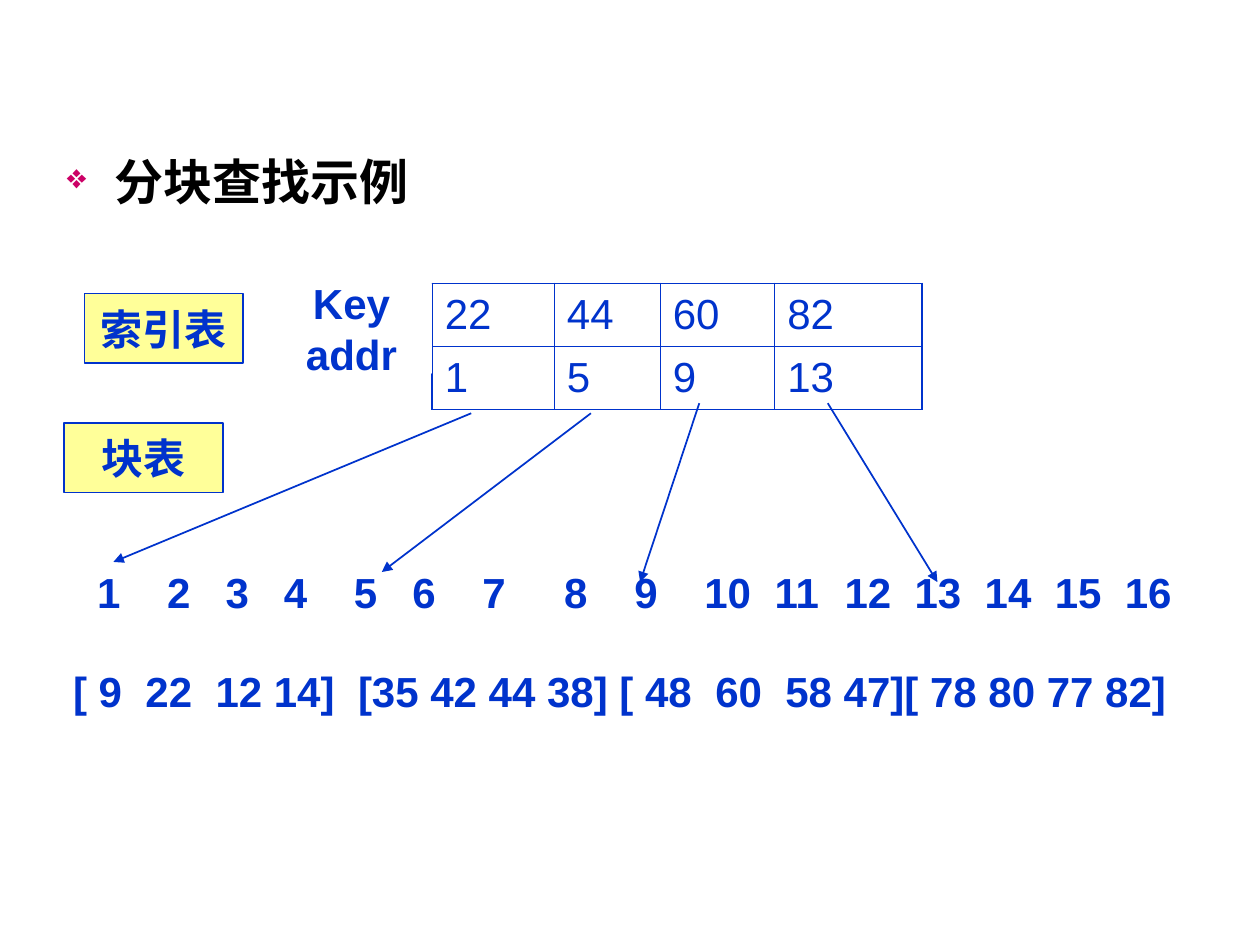
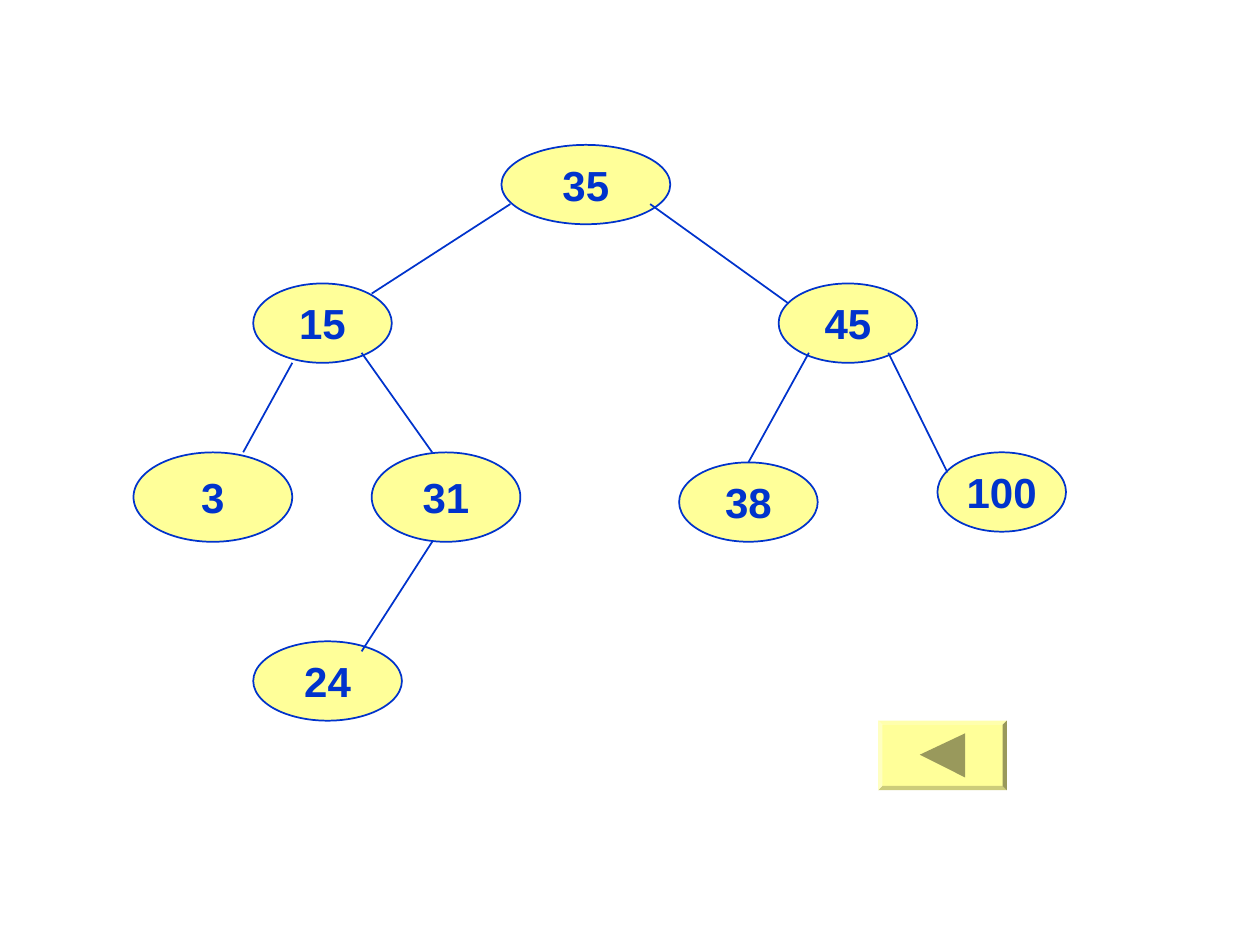
from lxml import etree
from pptx import Presentation
from pptx import util as u
from pptx.dml.color import RGBColor
from pptx.enum import shapes, text
from pptx.oxml import ns

BLUE = RGBColor(0x00, 0x33, 0xCC)
YELLOW = RGBColor(0xFF, 0xFF, 0x99)
OLIVE = RGBColor(0x99, 0x99, 0x5C)
WHITE = RGBColor(0xFF, 0xFF, 0xFF)
BLACK = RGBColor(0, 0, 0)
PINK = RGBColor(0xCC, 0x00, 0x66)
SPACE = 0.0927
WIDTHS = {" ": SPACE, "[": 0.111, "]": 0.111}
KIND = shapes.MSO_SHAPE
ALIGN = text.PP_ALIGN
MID = text.MSO_ANCHOR.MIDDLE


def add(parent, tag, **attrs):
    return etree.SubElement(parent, ns.qn(tag), {k: str(v) for k, v in attrs.items()})


def inch(*sizes):
    return [u.Inches(size) for size in sizes]


class Deck:
    """Holds the shared style and the current slide."""

    def __init__(self):
        self.prs = Presentation()
        self.prs.slide_width, self.prs.slide_height = inch(10, 7.5)

    def slide(self, layout):
        self.page = self.prs.slides.add_slide(self.prs.slide_layouts[layout])
        self.shapes = self.page.shapes

    def group(self):
        self.shapes = self.page.shapes.add_group_shape().shapes

    def font(self, para, size=24, color=BLUE, bold=True):
        font = para.font
        font.name, font.size, font.bold = "Arial", u.Pt(size), bold
        font.color.rgb = color

    def title(self, words, box):
        head = self.page.shapes.title
        head.left, head.top, head.width, head.height = inch(*box)
        head.text_frame.text = words
        head.text_frame.vertical_anchor = text.MSO_ANCHOR.TOP
        para = head.text_frame.paragraphs[0]
        para.alignment = ALIGN.LEFT
        props = para._p.get_or_add_pPr()
        props.set("marL", str(u.Inches(0.38)))
        props.set("indent", str(u.Inches(-0.38)))
        add(add(props, "a:buClr"), "a:srgbClr", val=PINK)
        add(props, "a:buSzPct", val=70000)
        add(props, "a:buChar", char="❖")
        self.font(para, 28, BLACK)

    def shape(self, kind, box, words="", fill=YELLOW, line=BLUE):
        item = self.shapes.add_shape(kind, *inch(*box))
        self.paint(item, fill, line)
        frame = item.text_frame
        frame.word_wrap = False
        frame.vertical_anchor = MID
        if words:
            frame.text = words
            for para in frame.paragraphs:
                para.alignment = ALIGN.CENTER
                self.font(para)
        return item

    def paint(self, item, fill, line):
        item.shadow.inherit = False
        item.fill.solid()
        item.fill.fore_color.rgb = fill
        if line is None:
            item.line.fill.background()
        else:
            item.line.color.rgb = line
            item.line.width = u.Pt(1)

    def row(self, box, inset, parts, gaps):
        item = self.shapes.add_textbox(*inch(*box))
        frame = item.text_frame
        frame.word_wrap = True
        frame.vertical_anchor = MID
        frame.margin_left, frame.margin_right = inch(inset, 0)
        para = frame.paragraphs[0]
        para.text = "\t".join(parts)
        para.alignment = ALIGN.LEFT
        tabs = add(para._p.get_or_add_pPr(), "a:tabLst")
        spot = 0
        for part, gap in zip(parts, gaps):
            spot += sum(WIDTHS.get(c, 2 * SPACE) for c in part) + gap * SPACE
            add(tabs, "a:tab", pos=u.Inches(spot), algn="l")
        self.font(para)

    def line(self, ends, arrow=False):
        item = self.shapes.add_connector(shapes.MSO_CONNECTOR.STRAIGHT, *inch(*ends))
        item.line.color.rgb = BLUE
        item.line.width = u.Pt(1)
        if arrow:
            add(item.line._get_or_add_ln(), "a:tailEnd", type="triangle")
        add(item._element.spPr, "a:effectLst")

    def table(self, box, cols, rows):
        grid = self.shapes.add_table(len(rows), len(cols), *inch(*box)).table
        grid.first_row = grid.horz_banding = False
        for col, width in zip(grid.columns, cols):
            col.width = u.Inches(width)
        for r, row in enumerate(rows):
            for c, value in enumerate(row):
                cell = grid.cell(r, c)
                cell.text = value
                cell.vertical_anchor = MID
                self.font(cell.text_frame.paragraphs[0], bold=False)
                outer = {"L": c == 0, "R": c == len(cols) - 1,
                         "T": r == 0, "B": r == len(rows) - 1}
                self.edge(cell, outer)

    def edge(self, cell, outer):
        props = cell._tc.get_or_add_tcPr()
        for side, thick in outer.items():
            rule = add(props, "a:ln" + side, w=u.Pt(1.08 if thick else 0.45))
            add(add(rule, "a:solidFill"), "a:srgbClr", val=BLUE)
        cell.fill.background()

    def back(self, box):
        self.shape(KIND.BEVEL, box, line=None).adjustments[0] = 0.06
        pen = self.shapes.build_freeform(*inch(7.3, 5.99), scale=1.0)
        pen.add_line_segments([inch(7.66, 5.82), inch(7.66, 6.17)], close=True)
        self.paint(pen.convert_to_shape(), OLIVE, None)


def index(deck):
    deck.slide(5)
    deck.title("分块查找示例", (0.43, 1.15, 3.49, 0.71))
    deck.table((3.43, 2.25, 3.89, 1), (0.97, 0.84, 0.91, 1.17),
               (("22", "44", "60", "82"), ("1", "5", "9", "13")))
    deck.shape(KIND.RECTANGLE, (0.67, 2.33, 1.26, 0.55), "索引表")
    deck.shape(KIND.RECTANGLE, (0.51, 3.36, 1.26, 0.55), "块表")
    deck.shape(KIND.RECTANGLE, (2.16, 2.25, 1.26, 0.71), "Key\naddr", WHITE, WHITE)
    deck.row((0.75, 4.46, 8.58, 0.47), 0.02, [str(n) for n in range(1, 17)],
             [4, 3, 3, 4, 3, 4, 5, 4, 4] + [2] * 6)
    blocks = ["[ 9", "22", "12 14]", "[35 42 44 38] [ 48", "60", "58 47][ 78 80 77 82]"]
    deck.row((0.43, 5.17, 8.98, 0.63), 0.15, blocks, [2] * 5)
    for ends in ((3.74, 3.28, 0.9, 4.46), (4.69, 3.28, 3.03, 4.54),
                 (5.55, 3.2, 5.08, 4.62), (6.57, 3.2, 7.44, 4.62)):
        deck.line(ends, arrow=True)


def tree(deck):
    deck.slide(6)
    deck.back((6.97, 5.72, 1.02, 0.55))
    deck.group()
    nodes = {
        "35": (3.98, 1.15, 1.34, 0.63),
        "15": (2.01, 2.25, 1.1, 0.63),
        "45": (6.18, 2.25, 1.1, 0.63),
        "3": (1.06, 3.59, 1.26, 0.71),
        "31": (2.95, 3.59, 1.18, 0.71),
        "38": (5.39, 3.67, 1.1, 0.63),
        "100": (7.44, 3.59, 1.02, 0.63),
        "24": (2.01, 5.09, 1.18, 0.63),
    }
    for key, box in nodes.items():
        deck.shape(KIND.OVAL, box, key)
    for ends in ((4.05, 1.62, 2.95, 2.33), (5.16, 1.62, 6.26, 2.41),
                 (2.32, 2.88, 1.93, 3.59), (2.87, 2.8, 3.43, 3.59),
                 (3.43, 4.3, 2.87, 5.17), (6.42, 2.8, 5.94, 3.67),
                 (7.05, 2.8, 7.52, 3.75)):
        deck.line(ends)


def main():
    deck = Deck()
    index(deck)
    tree(deck)
    deck.prs.save("out.pptx")


if __name__ == "__main__":
    main()
